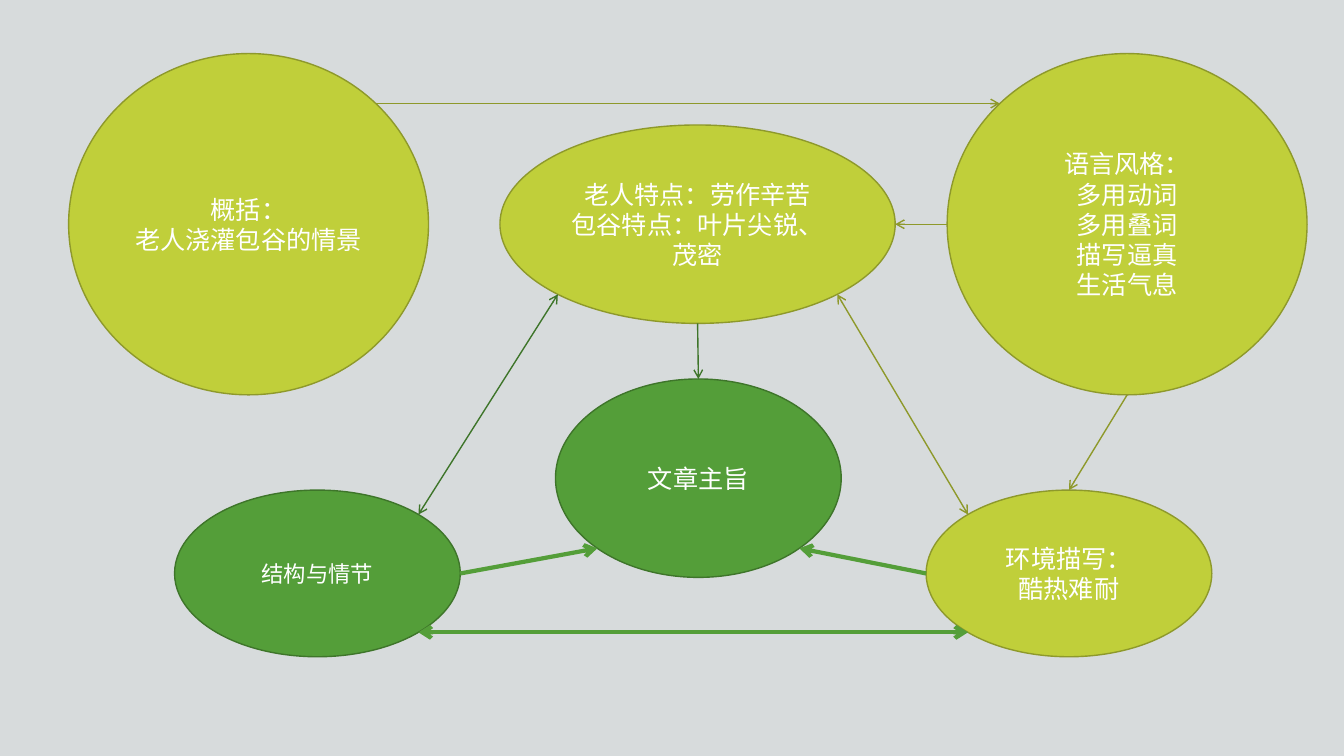
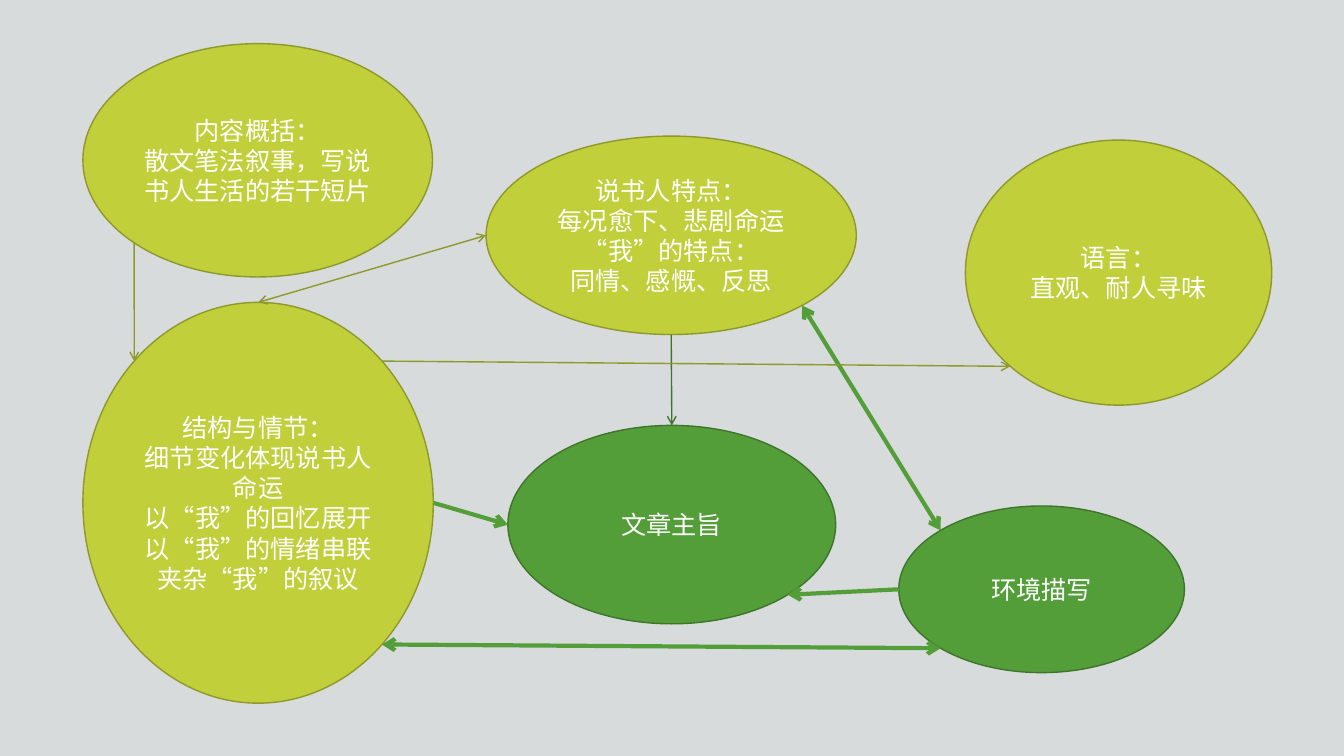
"""Build two mind-map slides of linked ellipses."""
from math import cos, radians, sin

from lxml.etree import SubElement
from pptx import Presentation
from pptx.dml.color import RGBColor
from pptx.enum.lang import MSO_LANGUAGE_ID as Language
from pptx.enum.shapes import MSO_CONNECTOR as Connector, MSO_SHAPE as Shape
from pptx.enum.text import MSO_ANCHOR as Anchor, PP_ALIGN as Align
from pptx.oxml.ns import qn
from pptx.util import Cm, Pt

BACKGROUND, WHITE = "D7DBDC", "FFFFFF"
LATIN, CHINESE = "Arial Narrow", "Noto Sans CJK SC"
LIME = ("C0CF3A", "8E992B")
GREEN = ("549E39", "3E752A")
STROKES = {"thin lime": (LIME[1], 1), "thin green": (GREEN[1], 1), "thick": (GREEN[0], 3)}
SITES = ["top", "top left", "left", "bottom left",
         "bottom", "bottom right", "right", "top right"]

# name: (left, top, width, height), colours, font, size, lines
# links: start, site, end, site, stroke, two-way
SLIDES = [
    {
        "ellipses": {
            "theme": ((14, 9.55, 7.2, 5), GREEN, LATIN, 18, ["文章主旨"]),
            "setting": ((23.34, 12.35, 7.2, 4.2), LIME, LATIN, 18, ["环境描写：", "酷热难耐"]),
            "traits": ((12.6, 3.15, 9.96, 5), LIME, CHINESE, 18,
                       ["老人特点：劳作辛苦", "包谷特点：叶片尖锐、茂密"]),
            "summary": ((1.73, 1.35, 9.07, 8.6), LIME, LATIN, 18,
                        ["概括：", "老人浇灌包谷的情景"]),
            "language": ((23.87, 1.35, 9.07, 8.6), LIME, LATIN, 18,
                         ["语言风格：", "多用动词", "多用叠词", "描写逼真", "生活气息"]),
            "structure": ((4.4, 12.35, 7.2, 4.2), GREEN, LATIN, 16, ["结构与情节"]),
        },
        "links": [
            ("setting", "left", "theme", "bottom right", "thick", False),
            ("structure", "right", "theme", "bottom left", "thick", False),
            ("traits", "bottom", "theme", "top", "thin green", False),
            ("traits", "bottom right", "setting", "top left", "thin lime", True),
            ("setting", "bottom left", "structure", "bottom right", "thick", True),
            ("language", "left", "traits", "right", "thin lime", False),
            ("traits", "bottom left", "structure", "top right", "thin green", True),
            ("summary", "top right", "language", "top left", "thin lime", False),
            ("language", "bottom", "setting", "top", "thin lime", False),
        ],
    },
    {
        "ellipses": {
            "theme": ((12.8, 10.72, 8.26, 5), GREEN, LATIN, 18, ["文章主旨"]),
            "setting": ((22.65, 12.75, 7.2, 4.2), GREEN, LATIN, 18, ["环境描写"]),
            "traits": ((12.25, 3.43, 9.33, 5), LIME, CHINESE, 18,
                       ["说书人特点：", "每况愈下、悲剧命运", "“我”的特点：", "同情、感慨、反思"]),
            "summary": ((2.09, 1.1, 8.81, 5.88), LIME, LATIN, 18,
                        ["内容概括：", "散文笔法叙事，写说书人生活的若干短片"]),
            "language": ((24.33, 3.53, 7.72, 6.68), LIME, LATIN, 18,
                         ["语言：", "直观、耐人寻味"]),
            "structure": ((2.09, 7.62, 8.83, 10.1), LIME, LATIN, 18,
                          ["结构与情节：", "细节变化体现说书人命运", "以“我”的回忆展开",
                           "以“我”的情绪串联", "夹杂“我”的叙议"]),
        },
        "links": [
            ("setting", "left", "theme", "bottom right", "thick", False),
            ("structure", "right", "theme", "left", "thick", False),
            ("traits", "bottom", "theme", "top", "thin green", False),
            ("traits", "bottom right", "setting", "top left", "thick", True),
            ("setting", "bottom left", "structure", "bottom right", "thick", True),
            ("structure", "top right", "language", "bottom left", "thin lime", False),
            ("traits", "left", "structure", "top", "thin lime", True),
            ("summary", "bottom left", "structure", "top left", "thin lime", False),
        ],
    },
]


def paint(target, colour):
    """Give a fill a solid colour."""
    target.solid()
    target.fore_color.rgb = RGBColor.from_string(colour)


def add_ellipse(page, box, colours, font, size, lines):
    """Draw one ellipse with centred text."""
    ellipse = page.shapes.add_shape(Shape.OVAL, *map(Cm, box))
    ellipse.shadow.inherit = False
    paint(ellipse.fill, colours[0])
    paint(ellipse.line.fill, colours[1])
    ellipse.line.width = Pt(1)
    frame = ellipse.text_frame
    frame.word_wrap = True
    frame.vertical_anchor = Anchor.MIDDLE
    frame.text = "\n".join(lines)
    for para in frame.paragraphs:
        para.alignment = Align.CENTER
        for span in para.runs:
            span.font.size = Pt(size)
            span.font.name = font
            span.font.language_id = Language.SIMPLIFIED_CHINESE
            paint(span.font.fill, WHITE)
            SubElement(span.font._element, qn("a:ea"), typeface=CHINESE)
    return ellipse


def site_point(ellipse, site):
    """Return the point of a named site, counted anticlockwise from the top."""
    angle = radians(45 * SITES.index(site))
    x = ellipse.left + ellipse.width / 2 * (1 - sin(angle))
    y = ellipse.top + ellipse.height / 2 * (1 - cos(angle))
    return round(x), round(y)


def add_link(page, start, start_site, end, end_site, stroke, two_way):
    """Draw an arrow glued to two ellipses."""
    link = page.shapes.add_connector(
        Connector.STRAIGHT, *site_point(start, start_site), *site_point(end, end_site))
    colour, width = STROKES[stroke]
    paint(link.line.fill, colour)
    link.line.width = Pt(width)
    outline = link.line._get_or_add_ln()
    for tag in ["a:headEnd", "a:tailEnd"] if two_way else ["a:tailEnd"]:
        SubElement(outline, qn(tag), type="arrow")
    SubElement(link._element.spPr, qn("a:effectLst"))
    glue = link._element.find(".//" + qn("p:cNvCxnSpPr"))
    for tag, ellipse, site in (("a:stCxn", start, start_site), ("a:endCxn", end, end_site)):
        SubElement(glue, qn(tag), id=str(ellipse.shape_id), idx=str(SITES.index(site)))


def main():
    """Build and save the deck."""
    deck = Presentation()
    deck.slide_width, deck.slide_height = Cm(33.87), Cm(19.05)
    paint(deck.slide_master.background.fill, BACKGROUND)
    for content in SLIDES:
        page = deck.slides.add_slide(deck.slide_layouts[6])
        ellipses = {name: add_ellipse(page, *details)
                    for name, details in content["ellipses"].items()}
        for start, start_site, end, end_site, stroke, two_way in content["links"]:
            add_link(page, ellipses[start], start_site, ellipses[end], end_site,
                     stroke, two_way)
    deck.save("out.pptx")


if __name__ == "__main__":
    main()
